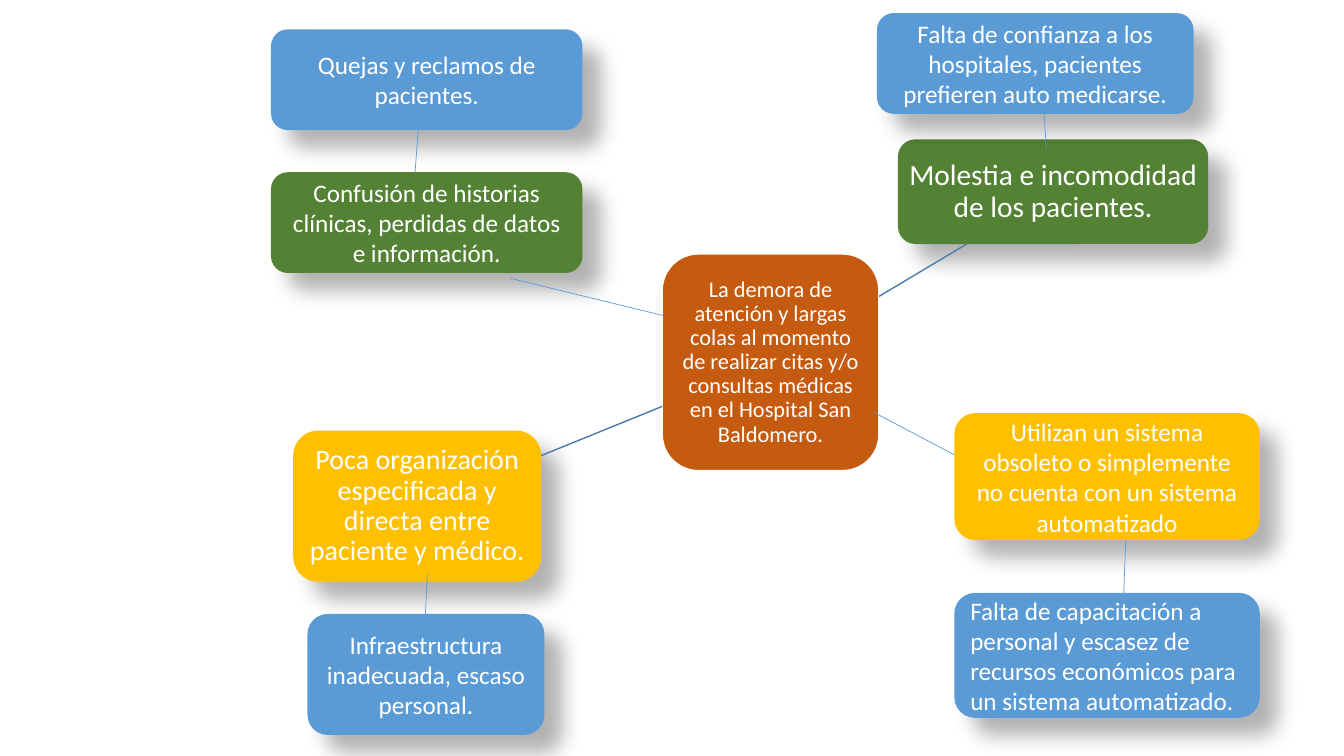
import pptx
import pptx.util
import pptx.dml.color
import pptx.enum.shapes
import pptx.enum.text
from lxml import etree

Cm, Pt = pptx.util.Cm, pptx.util.Pt
align = pptx.enum.text.PP_ALIGN
A = "http://schemas.openxmlformats.org/drawingml/2006/main"
SHADE = (f'<a:effectLst xmlns:a="{A}"><a:outerShdw blurRad="190500" dist="228600" '
         'dir="2700000" algn="tl" rotWithShape="0"><a:srgbClr val="000000">'
         '<a:alpha val="30000"/></a:srgbClr></a:outerShdw></a:effectLst>')
NONE = f'<a:effectLst xmlns:a="{A}"/>'
BLUE, GREEN, GOLD, RUST, STEEL = "5B9BD5", "548235", "FFC000", "C55A11", "497CAB"


def hue(code):
    return pptx.dml.color.RGBColor.from_string(code)


deck = pptx.Presentation()
deck.slide_width, deck.slide_height = Cm(33.87), Cm(19.05)
slide = deck.slides.add_slide(deck.slide_layouts[6])

# Boxes: text, left, top, width, height, fill, size, line spacing, side inset, end inset
wide, tight = (1, 0.25, 0.13), (0.9, 0.15, 0.15)
boxes = [
    ("La demora de atención y largas colas al momento de realizar citas y/o "
     "consultas médicas en el Hospital San Baldomero.",
     16.69, 6.4, 5.46, 5.46, RUST, 16, (0.9, 0.1, 0.1)),
    ("Molestia e incomodidad de los pacientes.",
     22.63, 3.51, 7.82, 2.64, GREEN, 21, tight),
    ("Poca organización especificada y directa entre paciente y médico.",
     7.39, 10.85, 6.25, 3.81, GOLD, 20, tight),
    ("Utilizan un sistema obsoleto o simplemente no cuenta con un sistema automatizado",
     24.05, 10.41, 7.7, 3.2, GOLD, 18, wide),
    ("Falta de capacitación a personal y escasez de recursos económicos "
     "para un sistema automatizado.",
     24.05, 14.94, 7.7, 3.15, BLUE, 18, wide),
    ("Infraestructura inadecuada, escaso personal.",
     7.75, 15.47, 5.97, 3.05, BLUE, 18, wide),
    ("Falta de confianza a los hospitales, pacientes prefieren auto medicarse.",
     22.1, 0.33, 7.98, 2.54, BLUE, 18, wide),
    ("Confusión de historias clínicas, perdidas de datos e información.",
     6.83, 4.34, 7.85, 2.54, GREEN, 18, wide),
    ("Quejas y reclamos de pacientes.",
     6.83, 0.74, 7.85, 2.54, BLUE, 18, wide),
]
for text, left, top, width, height, fill, size, (gap, side, end) in boxes:
    box = slide.shapes.add_shape(pptx.enum.shapes.MSO_SHAPE.ROUNDED_RECTANGLE,
                                 Cm(left), Cm(top), Cm(width), Cm(height))
    box.fill.solid()
    box.fill.fore_color.rgb = hue(fill)
    # The central problem has a white edge, the others a soft shadow
    if fill == RUST:
        box.line.color.rgb = hue("FFFFFF")
        box.line.width = Pt(1)
        box.shadow.inherit = False
    else:
        box.line.fill.background()
        box._element.spPr.append(etree.fromstring(SHADE))
    frame = box.text_frame
    frame.word_wrap = True
    frame.vertical_anchor = pptx.enum.text.MSO_ANCHOR.MIDDLE
    frame.margin_left = frame.margin_right = Cm(side)
    frame.margin_top = frame.margin_bottom = Cm(end)
    para = frame.paragraphs[0]
    para.text = text
    para.alignment = align.LEFT if text.startswith("Falta de cap") else align.CENTER
    para.line_spacing = gap
    para.font.name = "Calibri"
    para.font.size = Pt(size)
    para.font.color.rgb = hue("FFFFFF")

# Links: from x, y to x, y, colour, width
links = [
    (22.15, 7.47, 24.36, 6.15, STEEL, 1),
    (16.69, 10.24, 13.64, 11.48, STEEL, 1),
    (24.05, 11.46, 22.02, 10.39, BLUE, 0.5),
    (10.72, 15.47, 10.77, 14.48, BLUE, 0.5),
    (28.32, 14.94, 28.37, 13.61, BLUE, 0.5),
    (16.71, 7.95, 12.85, 7.01, BLUE, 0.5),
    (26.37, 3.76, 26.31, 2.84, BLUE, 0.5),
    (10.46, 4.34, 10.54, 3.3, BLUE, 0.5),
]
for *ends, tint, width in links:
    link = slide.shapes.add_connector(pptx.enum.shapes.MSO_CONNECTOR.STRAIGHT,
                                      *[Cm(end) for end in ends])
    link.line.color.rgb = hue(tint)
    link.line.width = Pt(width)
    link._element.spPr.append(etree.fromstring(NONE))

deck.save("out.pptx")
